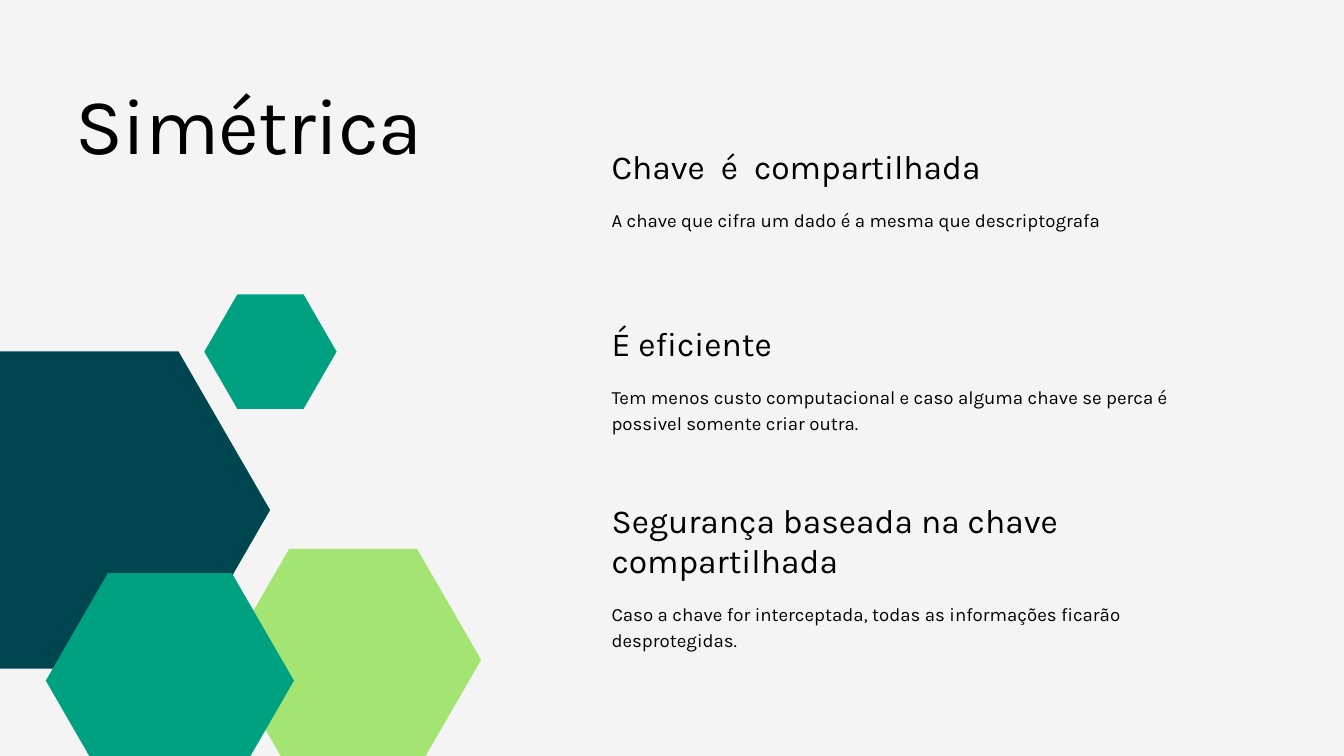
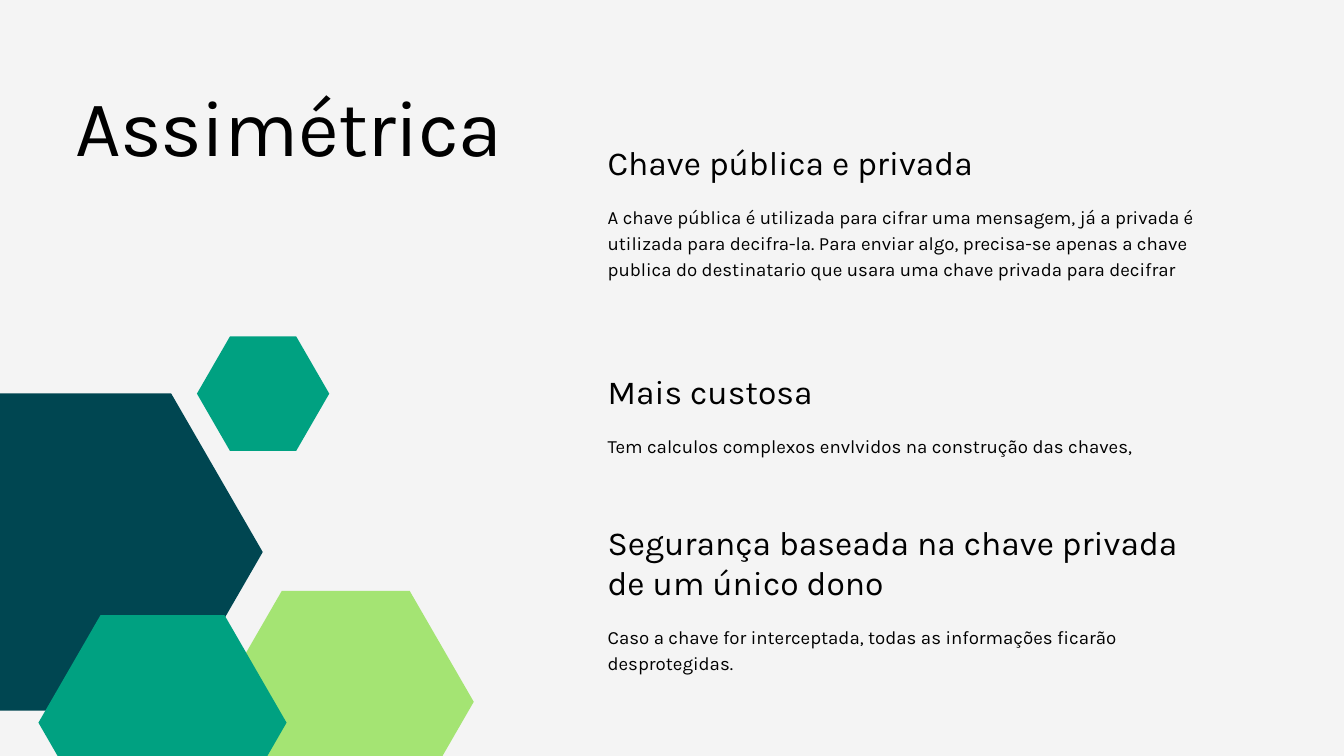
from dataclasses import dataclass
from math import sqrt

from pptx import Presentation
from pptx.dml.color import RGBColor
from pptx.enum.text import MSO_ANCHOR, MSO_AUTO_SIZE, PP_ALIGN
from pptx.slide import Slide
from pptx.text.text import TextFrame
from pptx.util import Pt

HUES = {"page": "F4F4F4", "ink": "000000", "navy": "004651",
        "lime": "A4E473", "green": "00A181"}
FACE = "Karla"
HEAD_LINE, BODY_LINE, HEAD_GAP = 43.2, 28, 20.6
TEXT_WIDTH = 651.6


@dataclass
class Hexagon:
    """A flat-topped regular hexagon, placed by its bounding box."""
    left: float
    top: float
    width: float
    hue: str


@dataclass
class Point:
    """A heading with its text, and the line count of each."""
    top: float
    head: str
    body: str
    head_rows: int = 1
    body_rows: int = 1


@dataclass
class Topic:
    """The content of one slide and where its parts start."""
    title: str
    top: float
    width: float
    pitch: float
    left: float
    shift: tuple[float, float]
    points: list[Point]


CLUSTER = [
    Hexagon(-103, 376.6, 392.4, "navy"),
    Hexagon(241.2, 588.2, 274.3, "lime"),
    Hexagon(218.9, 315.4, 141.8, "green"),
    Hexagon(49.1, 614.2, 265.9, "green"),
]
RISK = "Caso a chave for interceptada, todas as informações ficarão desprotegidas."
TOPICS = [
    Topic("Simétrica", 80.6, 434.2, 102, 655.2, (0, 0), [
        Point(156.4, "Chave  é  compartilhada",
              "A chave que cifra um dado é a mesma que descriptografa"),
        Point(345.8, "É eficiente",
              "Tem menos custo computacional e caso alguma chave se perca "
              "é possivel somente criar outra.", body_rows=2),
        Point(535.2, "Segurança baseada na chave compartilhada", RISK, 2, 2),
    ]),
    Topic("Assimétrica", 74.2, 570.2, 110.5, 651, (-7.9, 45), [
        Point(152.5, "Chave pública e privada",
              "A chave pública é utilizada para cifrar uma mensagem, já a "
              "privada é utilizada para decifra-la. Para enviar algo, "
              "precisa-se apenas a chave publica do destinatario que usara "
              "uma chave privada para decifrar", body_rows=3),
        Point(397.6, "Mais custosa",
              "Tem calculos complexos envlvidos na construção das chaves,"),
        Point(559.2, "Segurança baseada na chave privada de um único dono",
              RISK, 2, 2),
    ]),
]


def paint(hue: str) -> RGBColor:
    """Return the named colour."""
    return RGBColor.from_string(HUES[hue])


def write(frame: TextFrame, text: str, size: float, pitch: float) -> None:
    """Fill a frame with one left-aligned paragraph and no margins."""
    frame.text = text
    frame.word_wrap = True
    frame.auto_size = MSO_AUTO_SIZE.SHAPE_TO_FIT_TEXT
    frame.vertical_anchor = MSO_ANCHOR.TOP
    frame.margin_left = frame.margin_right = 0
    frame.margin_top = frame.margin_bottom = 0
    para = frame.paragraphs[0]
    para.alignment = PP_ALIGN.LEFT
    para.line_spacing = Pt(pitch)
    para.font.name = FACE
    para.font.size = Pt(size)
    para.font.color.rgb = paint("ink")


def add_title(slide: Slide, topic: Topic) -> None:
    """Place and fill the title."""
    title = slide.shapes.title
    title.left, title.top = Pt(80.6), Pt(topic.top)
    title.width, title.height = Pt(topic.width), Pt(topic.pitch)
    write(title.text_frame, topic.title, 85, topic.pitch)
    run = title.text_frame.paragraphs[0].runs[0]
    run._r.get_or_add_rPr().set("spc", "-80")


def add_hexagon(slide: Slide, cell: Hexagon, shift: tuple[float, float]) -> None:
    """Draw a hexagon moved by the given shift."""
    left, top = cell.left + shift[0], cell.top + shift[1]
    side, tall = cell.width / 2, cell.width * sqrt(3) / 2
    right, near = left + cell.width, left + side / 2
    far, mid, low = near + side, top + tall / 2, top + tall
    ring = [(near, top), (far, top), (right, mid), (far, low), (near, low)]
    pen = slide.shapes.build_freeform(Pt(left), Pt(mid))
    pen.add_line_segments([(Pt(x), Pt(y)) for x, y in ring], close=True)
    shape = pen.convert_to_shape()
    shape.shadow.inherit = False
    shape.fill.solid()
    shape.fill.fore_color.rgb = paint(cell.hue)
    shape.line.fill.background()


def add_text(slide: Slide, left: float, top: float, text: str,
             size: float, pitch: float, rows: int) -> None:
    """Add a text box tall enough for its rows."""
    box = slide.shapes.add_textbox(Pt(left), Pt(top), Pt(TEXT_WIDTH), Pt(pitch * rows))
    write(box.text_frame, text, size, pitch)


def add_point(slide: Slide, left: float, point: Point) -> None:
    """Add a heading and the text that follows it."""
    add_text(slide, left, point.top, point.head, 36, HEAD_LINE, point.head_rows)
    top = point.top + point.head_rows * HEAD_LINE + HEAD_GAP
    add_text(slide, left, top, point.body, 20, BODY_LINE, point.body_rows)


def main() -> None:
    """Build and save the deck."""
    deck = Presentation()
    deck.slide_width, deck.slide_height = Pt(1440), Pt(810)
    back = deck.slide_master.background.fill
    back.solid()
    back.fore_color.rgb = paint("page")
    for topic in TOPICS:
        slide = deck.slides.add_slide(deck.slide_layouts.get_by_name("Title Only"))
        add_title(slide, topic)
        for cell in CLUSTER:
            add_hexagon(slide, cell, topic.shift)
        for point in topic.points:
            add_point(slide, topic.left, point)
    deck.save("out.pptx")


if __name__ == "__main__":
    main()
